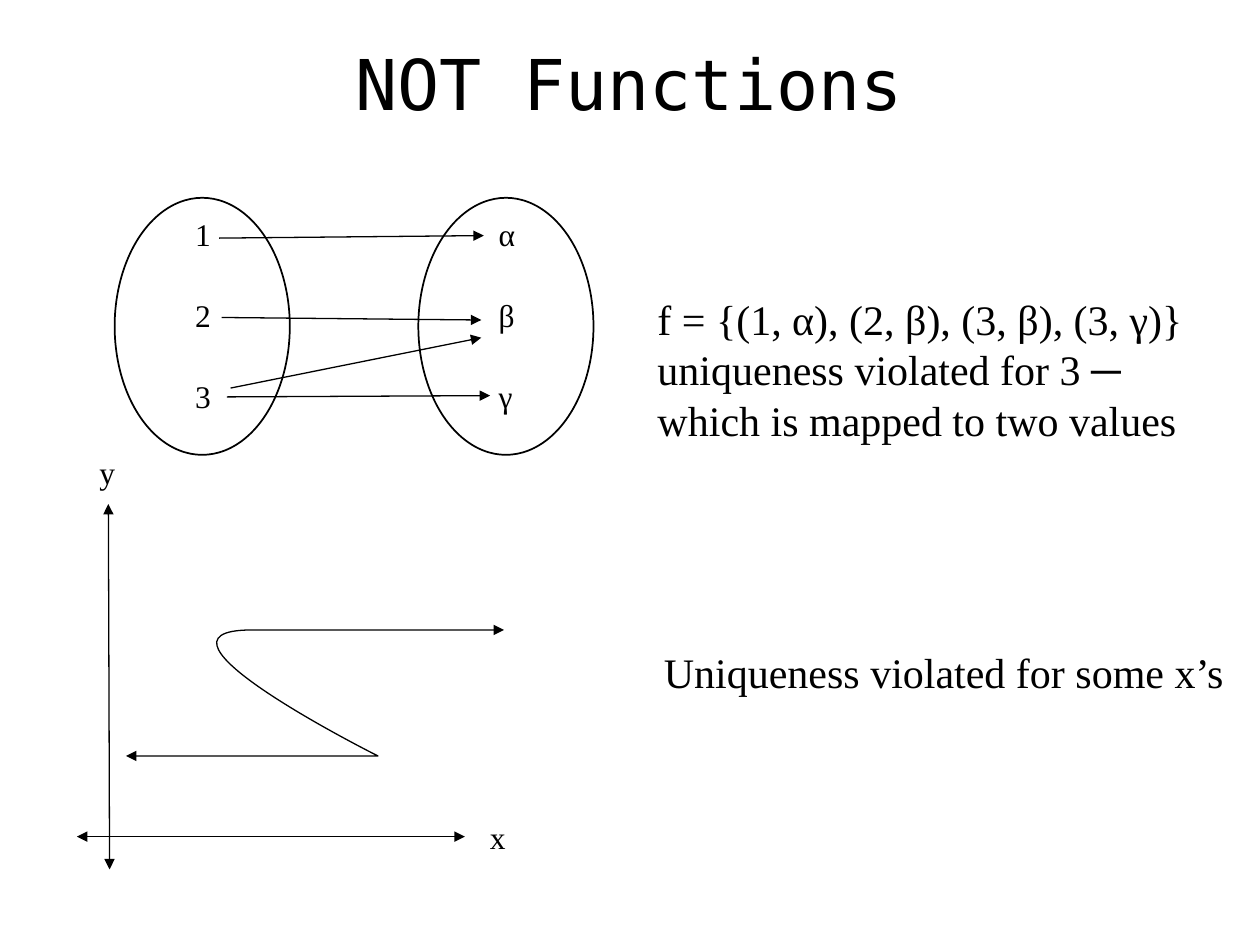
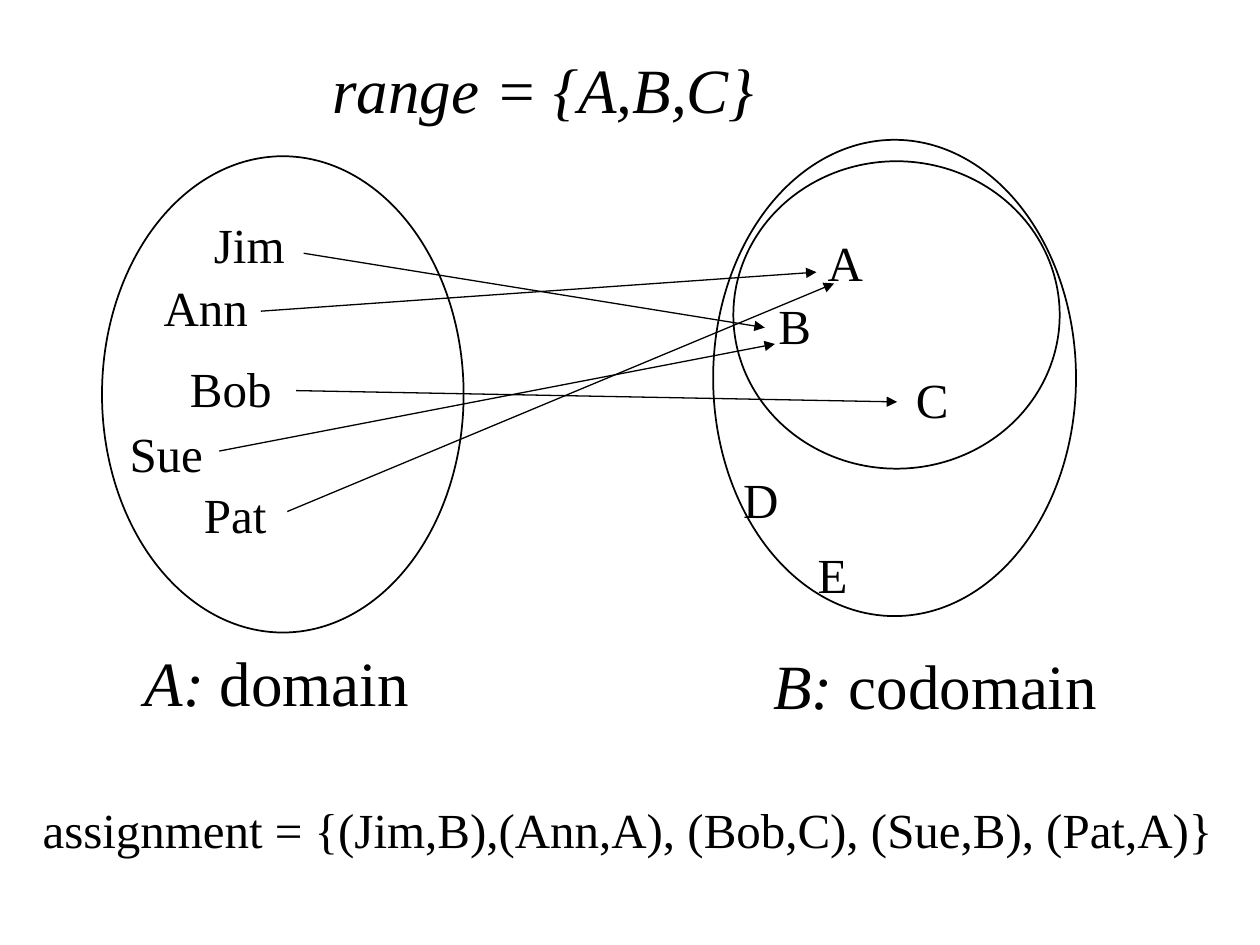
from dataclasses import dataclass

from lxml import etree
from pptx import Presentation, util as u
from pptx.dml.color import RGBColor
from pptx.enum import shapes, text
from pptx.oxml.ns import qn


@dataclass(frozen=True)
class Theme:
    ink: RGBColor = RGBColor(0, 0, 0)
    body_font: str = "Times New Roman"
    title_font: str = "DejaVu Sans Mono"
    title: int = 40
    heading: int = 36
    name: int = 28
    remark: int = 24
    mark: int = 18
    outline: float = 1
    arrow: float = 0.75


THEME = Theme()
SLIDE_W, SLIDE_H = 10, 7.5

TITLE = "NOT Functions"
MAPPING_SETS = [["1", "2", "3"], ["α", "β", "γ"]]
SET_LEFT, SET_TOP, SET_W, SET_H, SET_PITCH = 0.91, 1.57, 1.39, 2.04, 2.41
MEMBER_INSET, MEMBER_TOP, MEMBER_PITCH = 0.54, 1.66, 0.64
MAPPING_ARROWS = [
    ((1.74, 1.89), (3.84, 1.87)),
    ((1.76, 2.52), (3.82, 2.54)),
    ((1.83, 3.08), (3.82, 2.68)),
    ((1.8, 3.15), (3.89, 3.14)),
]
AXES = [((0.87, 6.9), (0.86, 4)), ((0.61, 6.64), (3.69, 6.64))]
AXIS_NAMES = [("x", 3.79, 6.44), ("y", 0.69, 3.55)]
CURVE = [
    (0.96, 6.05),
    (1.76, 5.99), (2.56, 5.93), (2.67, 5.79),
    (2.77, 5.66), (1.41, 5.39), (1.58, 5.24),
    (1.74, 5.08), (3.3, 4.93), (3.65, 4.87),
]
REMARKS = [
    ("f = {(1, α), (2, β), (3, β), (3, γ)} uniqueness violated for 3 ─ "
     "which is mapped to two values", (5.12, 2.28, 4.46, 1.31)),
    ("Uniqueness violated for some x’s", (5.17, 5.08, 4.71, 0.5)),
]

OVALS = {
    "domain": (0.81, 1.24, 2.87, 3.78),
    "codomain": (5.66, 1.11, 2.88, 3.78),
    "range": (5.82, 1.28, 2.59, 2.44),
}
HEADINGS = [
    ([("range = {A,B,C}", True)], 2.54, 0.35),
    ([("A:", True), (" domain", False)], 1.05, 5.06),
    ([("B:", True), (" codomain", False)], 6.04, 5.08),
]
PEOPLE = {
    "Jim": ((1.6, 1.65), (2.41, 2.01)),
    "Ann": ((1.2, 2.15), (2.07, 2.47)),
    "Bob": ((1.41, 2.8), (2.35, 3.1)),
    "Sue": ((0.93, 3.31), (1.74, 3.58)),
    "Pat": ((1.52, 3.8), (2.28, 4.06)),
}
GRADES = {
    "A": (6.47, 1.8), "B": (6.08, 2.3), "C": (7.17, 2.88),
    "D": (5.8, 3.68), "E": (6.39, 4.27),
}
ARROW_TIPS = {
    "Jim": (6.07, 2.6), "Ann": (6.48, 2.16), "Bob": (7.12, 3.19),
    "Sue": (6.15, 2.73), "Pat": (6.62, 2.25),
}
ASSIGNMENT = "assignment = {(Jim,B),(Ann,A), (Bob,C), (Sue,B), (Pat,A)}"


def inches(values):
    return [u.Inches(v) for v in values]


def write(slide, runs, box, size, font=THEME.body_font, centred=False):
    frame = slide.shapes.add_textbox(*inches(box)).text_frame
    frame.word_wrap = True
    paragraph = frame.paragraphs[0]
    if centred:
        frame.vertical_anchor = text.MSO_ANCHOR.MIDDLE
        paragraph.alignment = text.PP_ALIGN.CENTER
    for words, italic in [(runs, False)] if isinstance(runs, str) else runs:
        run = paragraph.add_run()
        run.text = words
        run.font.name = font
        run.font.size = u.Pt(size)
        run.font.italic = italic
        run.font.color.rgb = THEME.ink


def ink_line(shape, width, both_ends=None):
    shape.line.color.rgb = THEME.ink
    shape.line.width = u.Pt(width)
    if both_ends is not None:
        pen = shape.line._get_or_add_ln()
        for end in ["headEnd", "tailEnd"] if both_ends else ["tailEnd"]:
            etree.SubElement(pen, qn(f"a:{end}"), type="triangle")


def arrow(slide, start, tip, both_ends=False):
    line = slide.shapes.add_connector(
        shapes.MSO_CONNECTOR.STRAIGHT, *inches(start + tip))
    ink_line(line, THEME.arrow, both_ends)
    etree.SubElement(line._element.spPr, qn("a:effectLst"))


def oval(slide, box):
    ring = slide.shapes.add_shape(shapes.MSO_SHAPE.OVAL, *inches(box))
    ring.fill.background()
    ring.shadow.inherit = False
    ink_line(ring, THEME.outline)


def curve(slide, points):
    builder = slide.shapes.build_freeform(*points[0], scale=u.Inches(1))
    builder.add_line_segments(points[1:], close=False)
    bend = builder.convert_to_shape()
    bend.fill.background()
    bend.shadow.inherit = False
    ink_line(bend, THEME.arrow, both_ends=True)
    steps = list(bend._element.iter(qn("a:lnTo")))
    outline = steps[0].getparent()
    for first in range(0, len(steps), 3):
        bezier = etree.SubElement(outline, qn("a:cubicBezTo"))
        for step in steps[first:first + 3]:
            bezier.append(step[0])
            outline.remove(step)


def not_functions(slide):
    write(slide, TITLE, (0.74, 0.18, 8.5, 0.95), THEME.title,
          THEME.title_font, centred=True)
    for column, members in enumerate(MAPPING_SETS):
        left = SET_LEFT + column * SET_PITCH
        oval(slide, (left, SET_TOP, SET_W, SET_H))
        for row, member in enumerate(members):
            top = MEMBER_TOP + row * MEMBER_PITCH
            write(slide, member, (left + MEMBER_INSET, top, 0.4, 0.4), THEME.mark)
    for start, tip in MAPPING_ARROWS:
        arrow(slide, start, tip)
    for start, tip in AXES:
        arrow(slide, start, tip, both_ends=True)
    for axis, left, top in AXIS_NAMES:
        write(slide, axis, (left, top, 0.37, 0.4), THEME.mark)
    curve(slide, CURVE)
    for remark, box in REMARKS:
        write(slide, remark, box, THEME.remark)


def assignment_range(slide):
    for box in OVALS.values():
        oval(slide, box)
    for runs, left, top in HEADINGS:
        write(slide, runs, (left, top, 3.75, 0.71), THEME.heading)
    places = {name: place for name, (place, _) in PEOPLE.items()} | GRADES
    for name, place in places.items():
        write(slide, name, (*place, 1.96, 0.57), THEME.name)
    for person, (_, start) in PEOPLE.items():
        arrow(slide, start, ARROW_TIPS[person])
    write(slide, ASSIGNMENT, (0.24, 6.3, 9.84, 0.57), THEME.name)


def main():
    deck = Presentation()
    deck.slide_width, deck.slide_height = inches((SLIDE_W, SLIDE_H))
    for draw in (not_functions, assignment_range):
        draw(deck.slides.add_slide(deck.slide_layouts[6]))
    deck.save("out.pptx")


if __name__ == "__main__":
    main()
